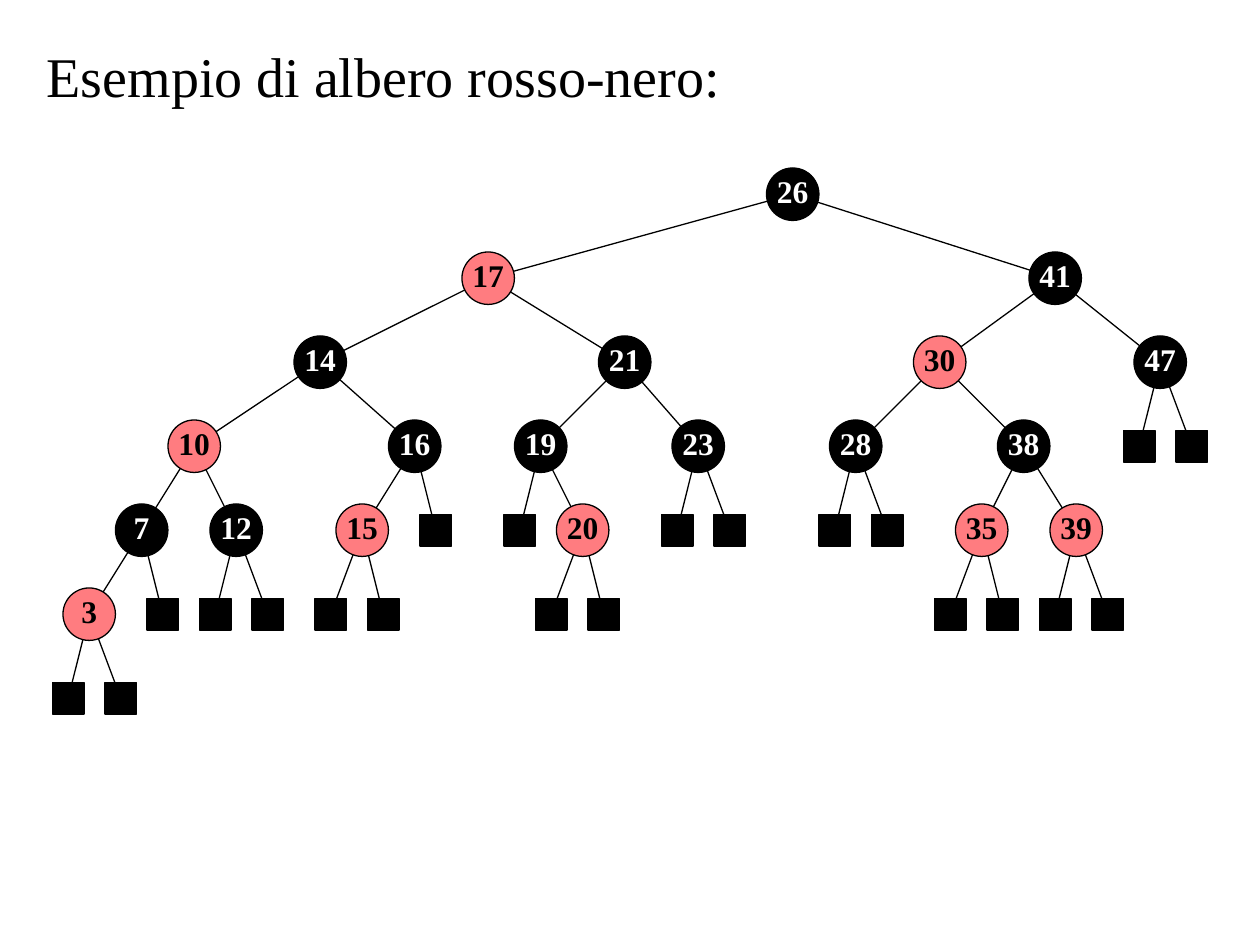
from dataclasses import dataclass
from typing import Iterator, NamedTuple, Optional

from lxml.etree import SubElement
from pptx import Presentation
from pptx.dml.color import RGBColor as Rgb
from pptx.enum.shapes import MSO_CONNECTOR as Link, MSO_SHAPE as Kind
from pptx.enum.text import MSO_ANCHOR as Anchor, MSO_AUTO_SIZE as Fit, PP_ALIGN as Align
from pptx.oxml.ns import qn
from pptx.util import Inches, Pt


@dataclass(frozen=True)
class Theme:
    black: Rgb = Rgb(0, 0, 0)
    white: Rgb = Rgb(255, 255, 255)
    red: Rgb = Rgb(0xFF, 0x7C, 0x80)
    font: str = "Times New Roman"
    title: Pt = Pt(32)
    label: Pt = Pt(18)
    line: Pt = Pt(0.75)


@dataclass(frozen=True)
class Node:
    key: int
    x: int
    left: Optional["Node"] = None
    right: Optional["Node"] = None
    red: bool = False
    lean: int = 0


class Spot(NamedTuple):
    x: int
    row: int
    size: int
    node: Optional[Node] = None

    @property
    def top(self) -> float:
        return TOP + STEP * self.row + (NODE - self.size) / 2

    @property
    def mid(self) -> tuple[float, float]:
        return self.x + self.size / 2, self.top + self.size / 2


THEME = Theme()
GRID = 12
TOP = 16
STEP = 8
NODE = 5
LEAF = 3
LEAF_LEFT = -1
LEAF_RIGHT = 4

TREE = Node(
    26, 73,
    Node(
        17, 44,
        Node(
            14, 28,
            Node(
                10, 16,
                Node(7, 11, left=Node(3, 6, red=True), lean=1),
                Node(12, 20),
                red=True,
            ),
            Node(16, 37, left=Node(15, 32, red=True, lean=1), lean=1),
        ),
        Node(
            21, 57,
            Node(19, 49, right=Node(20, 53, red=True, lean=1)),
            Node(23, 64),
        ),
        red=True,
    ),
    Node(
        41, 98,
        Node(
            30, 87,
            Node(28, 79),
            Node(38, 95, Node(35, 91, red=True, lean=1), Node(39, 100, red=True)),
            red=True,
        ),
        Node(47, 108),
    ),
)


def unit(n: float) -> Inches:
    return Inches(n / GRID)


def kids(spot: Spot) -> Iterator[Spot]:
    node = spot.node
    if node is None:
        return
    for kid, shift in ((node.left, LEAF_LEFT), (node.right, LEAF_RIGHT)):
        if kid:
            yield Spot(kid.x, spot.row + 1, NODE, kid)
        else:
            yield Spot(node.x + shift - node.lean, spot.row + 1, LEAF)


def walk(spot: Spot) -> Iterator[Spot]:
    yield spot
    for kid in kids(spot):
        yield from walk(kid)


def draw_title(slide, text: str) -> None:
    title = slide.shapes.title
    title.left, title.top = Inches(0.27), Inches(0.28)
    title.width, title.height = Inches(8.92), Inches(0.63)
    frame = title.text_frame
    frame.text = text
    frame.word_wrap = True
    frame.auto_size = Fit.SHAPE_TO_FIT_TEXT
    frame.vertical_anchor = Anchor.TOP
    line = frame.paragraphs[0]
    line.alignment = Align.LEFT
    font = line.runs[0].font
    font.name, font.size = THEME.font, THEME.title
    font.color.rgb = THEME.black


def draw_edge(slide, start: Spot, end: Spot) -> None:
    ends = map(unit, start.mid + end.mid)
    edge = slide.shapes.add_connector(Link.STRAIGHT, *ends)
    edge.line.color.rgb = THEME.black
    edge.line.width = THEME.line
    SubElement(edge._element.spPr, qn("a:effectLst"))


def draw_key(shape, node: Node) -> None:
    frame = shape.text_frame
    frame.text = str(node.key)
    frame.word_wrap = False
    frame.vertical_anchor = Anchor.MIDDLE
    line = frame.paragraphs[0]
    line.alignment = Align.CENTER
    line.line_spacing = 0.8
    font = line.runs[0].font
    font.name, font.size, font.bold = THEME.font, THEME.label, True
    font.color.rgb = THEME.black if node.red else THEME.white


def draw_spot(slide, spot: Spot) -> None:
    node = spot.node
    kind = Kind.OVAL if node else Kind.RECTANGLE
    size = unit(spot.size)
    shape = slide.shapes.add_shape(kind, unit(spot.x), unit(spot.top), size, size)
    shape.shadow.inherit = False
    shape.fill.solid()
    shape.fill.fore_color.rgb = THEME.red if node and node.red else THEME.black
    shape.line.color.rgb = THEME.black
    shape.line.width = THEME.line
    if node:
        draw_key(shape, node)


def draw_tree(slide, tree: Node) -> None:
    spots = list(walk(Spot(tree.x, 0, NODE, tree)))
    for spot in spots:
        for kid in kids(spot):
            draw_edge(slide, spot, kid)
    for spot in spots:
        draw_spot(slide, spot)


def main() -> None:
    deck = Presentation()
    deck.slide_width, deck.slide_height = Inches(10), Inches(7.5)
    slide = deck.slides.add_slide(deck.slide_layouts[5])
    draw_title(slide, "Esempio di albero rosso-nero:")
    draw_tree(slide, TREE)
    deck.save("out.pptx")


if __name__ == "__main__":
    main()
